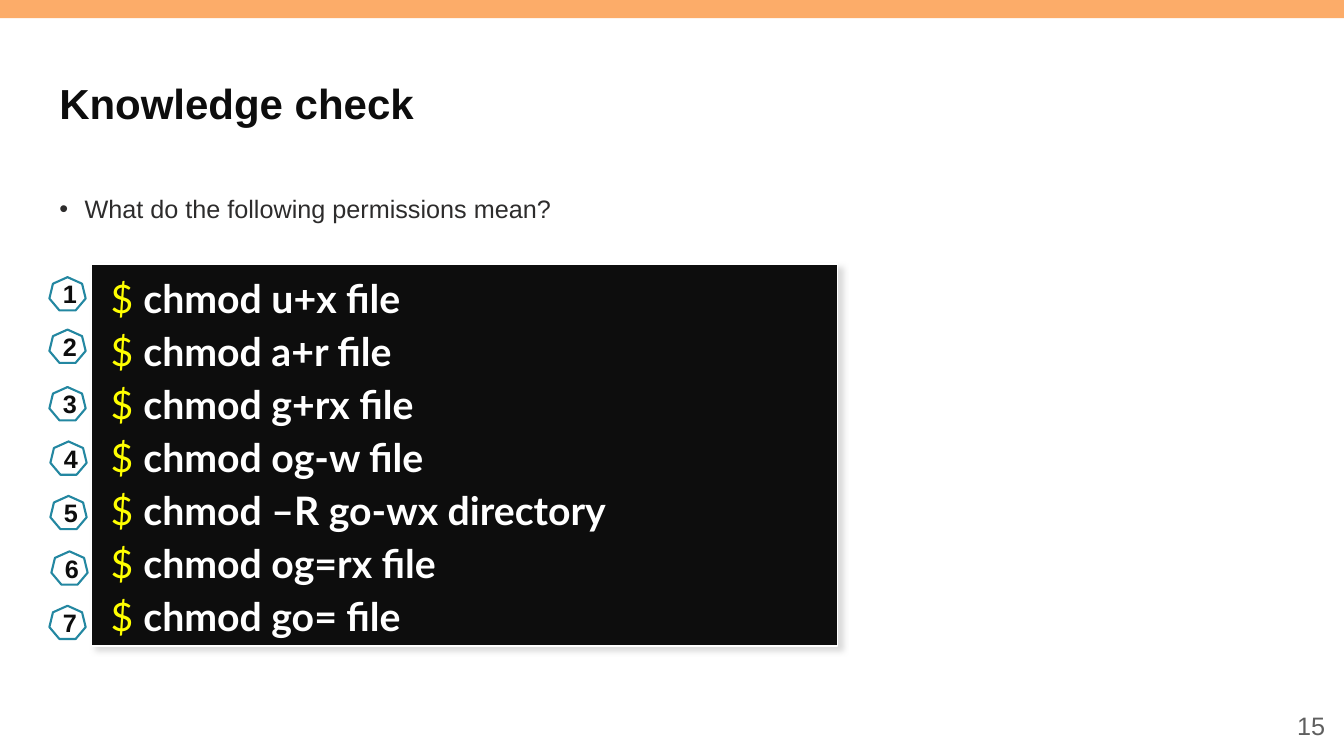
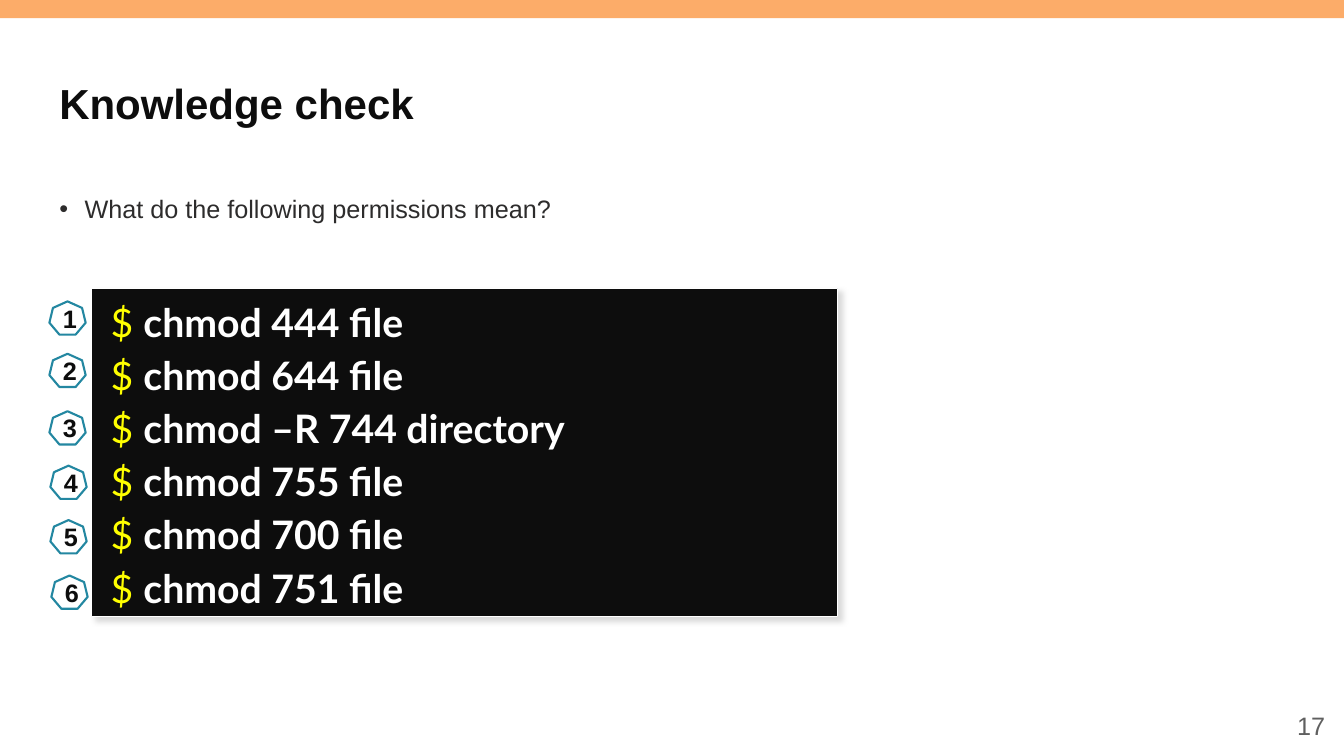
import pptx
import pptx.dml.color
import pptx.enum.shapes
import pptx.enum.text
import pptx.oxml
import pptx.oxml.ns
import pptx.util

Inches = pptx.util.Inches
Pt = pptx.util.Pt
Shape = pptx.enum.shapes.MSO_SHAPE
Align = pptx.enum.text.PP_ALIGN
Anchor = pptx.enum.text.MSO_ANCHOR
Fit = pptx.enum.text.MSO_AUTO_SIZE

HUES = {
    "band": "FCAC69", "ink": "0D0D0D", "body": "2D2C2C", "page": "5F5F5F",
    "badge": "2387A1", "prompt": "FFFF00", "white": "FFFFFF", "shade": "DADADA",
}
FONTS = {
    "title": {"name": "Arial", "size": Pt(30), "bold": True, "hue": "ink"},
    "body": {"name": "Arial", "size": Pt(18), "hue": "body"},
    "page": {"name": "Arial", "size": Pt(18), "hue": "page"},
    "badge": {"name": "Arial", "size": Pt(18), "bold": True, "hue": "ink"},
    "prompt": {"name": "Lato", "size": Pt(28), "bold": False, "hue": "prompt"},
    "code": {"name": "Lato", "size": Pt(28), "bold": True, "hue": "white"},
}
# Left edge of each badge, and its drop below the top of the code box
BADGES = [(0.49, 0.13), (0.49, 0.65), (0.49, 1.22), (0.5, 1.76),
          (0.5, 2.3), (0.51, 2.85), (0.49, 3.39)]
TASKS = [
    {"page": "15", "top": 2.62, "tall": 3.79, "lines": [
        "chmod u+x file", "chmod a+r file", "chmod g+rx file",
        "chmod og-w file", "chmod –R go-wx directory",
        "chmod og=rx file", "chmod go= file"]},
    {"page": "17", "top": 2.86, "tall": 3.26, "lines": [
        "chmod 444 file", "chmod 644 file", "chmod –R 744 directory",
        "chmod 755 file", "chmod 700 file", "chmod 751 file"]},
]


def tint(hue):
    return pptx.dml.color.RGBColor.from_string(HUES[hue])


def xml(tag, inner="", **attrs):
    """Build one drawing element, with optional inner markup."""
    words = "".join(f' {key}="{val}"' for key, val in attrs.items())
    return pptx.oxml.parse_xml(
        f'<a:{tag} {pptx.oxml.ns.nsdecls("a")}{words}>{inner}</a:{tag}>')


class Deck:
    def __init__(self):
        self.prs = pptx.Presentation()
        self.prs.slide_width = Inches(13.33)
        self.prs.slide_height = Inches(7.5)
        self.slide = None

    def start(self, title, page):
        """Open a slide with its band, title and page number."""
        self.slide = self.prs.slides.add_slide(self.prs.slide_layouts[6])
        self.shape(self.slide.shapes, Shape.RECTANGLE, (0, 0, 13.33, 0.18), "band")
        para = self.text((0.49, 0.55, 12.36, 0.94), Anchor.MIDDLE)
        self.run(para, title, "title")
        para = self.text((10.24, 7, 3, 0.4), Anchor.MIDDLE)
        para.alignment = Align.RIGHT
        self.run(para, page, "page")

    def shape(self, home, kind, box, fill=None, line=None, width=1):
        item = home.add_shape(kind, *map(Inches, box))
        item.shadow.inherit = False
        if fill:
            item.fill.solid()
            item.fill.fore_color.rgb = tint(fill)
        else:
            item.fill.background()
        if line:
            item.line.color.rgb = tint(line)
            item.line.width = Pt(width)
        else:
            item.line.fill.background()
        return item

    def text(self, box, anchor=Anchor.TOP):
        """Add a wrapped text box and return its first paragraph."""
        frame = self.slide.shapes.add_textbox(*map(Inches, box)).text_frame
        frame.word_wrap = True
        frame.vertical_anchor = anchor
        return frame.paragraphs[0]

    def run(self, para, words, style):
        part = para.add_run()
        part.text = words
        for key, val in FONTS[style].items():
            if key == "hue":
                part.font.color.rgb = tint(val)
            else:
                setattr(part.font, key, val)

    def bullet(self, words):
        para = self.text((0.49, 1.9, 12.36, 4.76))
        props = para._p.get_or_add_pPr()
        props.set("marL", str(Inches(0.25)))
        props.set("indent", str(Inches(-0.25)))
        props.append(xml("buFont", typeface="Arial"))
        props.append(xml("buChar", char="•"))
        para.line_spacing = 0.9
        self.run(para, words, "body")

    def code(self, home, top, tall, lines):
        item = self.shape(home, Shape.RECTANGLE, (0.91, top, 7.4, tall), "ink", "white")
        item._element.spPr.find(pptx.oxml.ns.qn("a:effectLst")).append(
            xml("outerShdw", f'<a:srgbClr val="{HUES["shade"]}"/>',
                blurRad=Pt(4), dist=Pt(4), dir=45 * 60000,
                algn="tl", rotWithShape=0))
        frame = item.text_frame
        look = {"margin_left": Inches(0.1), "margin_right": Inches(0.1),
                "margin_top": Inches(0.1), "margin_bottom": Inches(0.06),
                "word_wrap": True, "vertical_anchor": Anchor.TOP,
                "auto_size": Fit.SHAPE_TO_FIT_TEXT}
        for key, val in look.items():
            setattr(frame, key, val)
        for rank, line in enumerate(lines):
            para = frame.add_paragraph() if rank else frame.paragraphs[0]
            para._p.get_or_add_pPr().set("marL", str(Inches(0.09)))
            para.alignment = Align.LEFT
            if rank:
                para.space_before = Pt(4.3)
            self.run(para, "$ ", "prompt")
            self.run(para, line, "code")

    def badge(self, home, left, top, label):
        item = self.shape(home, Shape.HEPTAGON, (left, top, 0.36, 0.33),
                          line="badge", width=1.5)
        item.text_frame.vertical_anchor = Anchor.MIDDLE
        para = item.text_frame.paragraphs[0]
        para.alignment = Align.CENTER
        self.run(para, label, "badge")

    def quiz(self, top, tall, lines):
        """Group the code box with one numbered badge per line."""
        home = self.slide.shapes.add_group_shape().shapes
        self.code(home, top, tall, lines)
        for rank, (left, drop) in enumerate(BADGES[:len(lines)], 1):
            self.badge(home, left, top + drop, str(rank))


def main():
    deck = Deck()
    for task in TASKS:
        deck.start("Knowledge check", task["page"])
        deck.bullet("What do the following permissions mean?")
        deck.quiz(task["top"], task["tall"], task["lines"])
    deck.prs.save("out.pptx")


if __name__ == "__main__":
    main()
